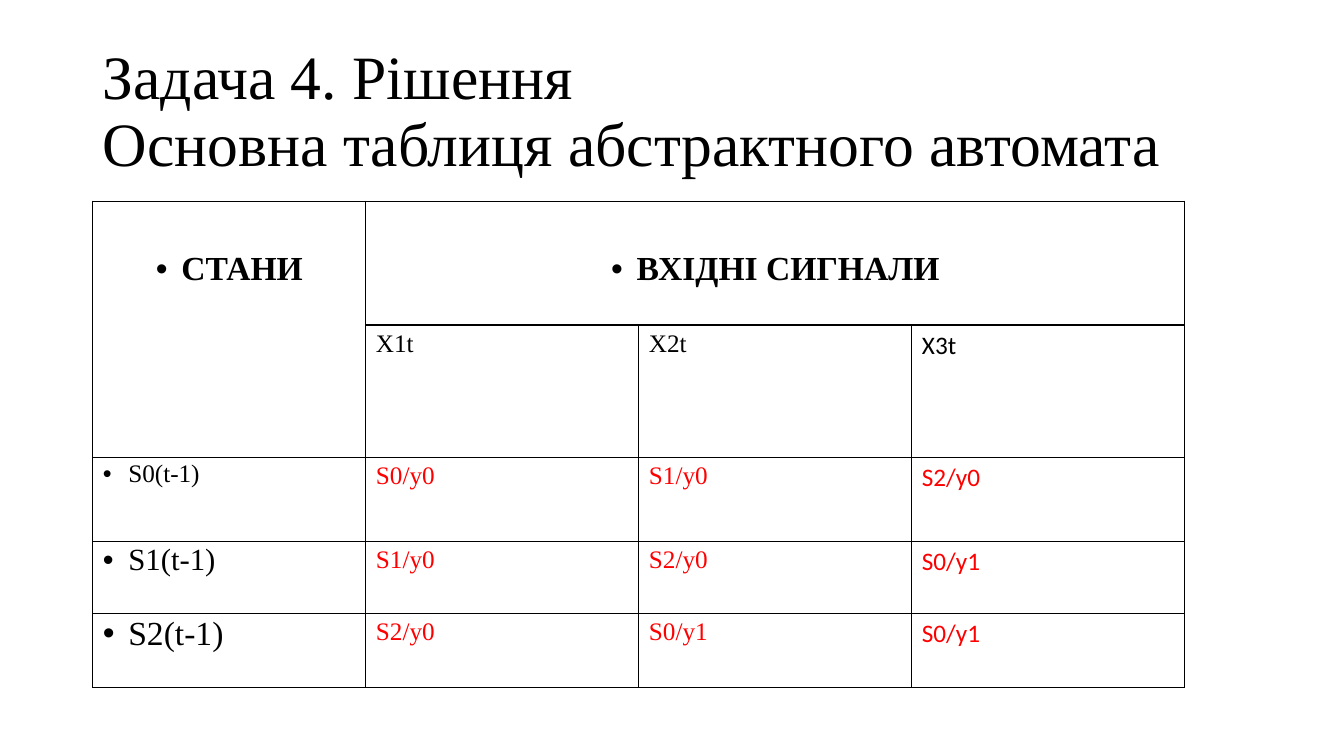
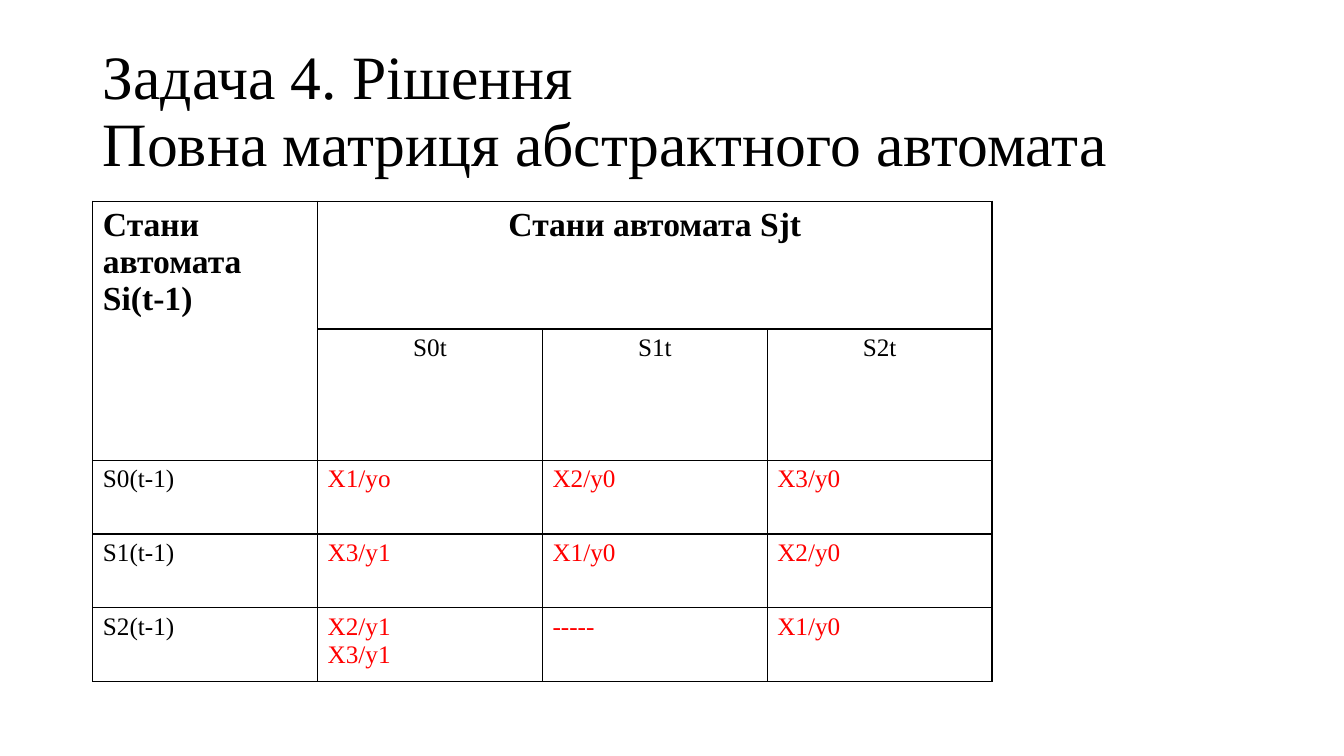
from dataclasses import dataclass, replace

from lxml import etree
from pptx import Presentation
from pptx import util as u
from pptx.dml import color
from pptx.enum import text
from pptx.oxml import ns

HUES = {"ink": "000000", "mark": "FF0000", "back": "FFFFFF"}
SERIF = "Times New Roman"
SANS = "Calibri"
LEFT = 2.34
DROP = 1.33
PAD = 0.13


@dataclass(frozen=True)
class Item:
    lines: tuple[str, ...]
    size: int = 18
    bold: bool = False
    hue: str = "ink"
    font: str = SERIF
    mid: bool = False
    dot: bool = False
    top: float = PAD


@dataclass(frozen=True)
class Sheet:
    title: str
    width: float
    rows: tuple[float, ...]
    cells: dict[tuple[int, int], Item]


def paint(hue: str) -> color.RGBColor:
    return color.RGBColor.from_string(HUES[hue])


def add_run(para, words: str, item: Item) -> None:
    run = para.add_run()
    run.text = words
    run.font.name = item.font
    run.font.size = u.Pt(item.size)
    run.font.bold = item.bold
    run.font.color.rgb = paint(item.hue)


def add_dot(para) -> None:
    para.line_spacing = 0.9
    props = para._p.get_or_add_pPr()
    step = u.Cm(0.64)
    props.set("marL", str(step))
    props.set("indent", str(-step))
    etree.SubElement(props, ns.qn("a:buFont"), typeface="Arial")
    etree.SubElement(props, ns.qn("a:buChar"), char="•")


def add_edge(cell) -> None:
    props = cell._tc.get_or_add_tcPr()
    for side in "LRTB":
        line = etree.SubElement(props, ns.qn(f"a:ln{side}"), w=str(u.Pt(1)))
        fill = etree.SubElement(line, ns.qn("a:solidFill"))
        etree.SubElement(fill, ns.qn("a:srgbClr"), val=HUES["ink"])


def fill_cell(cell, item: Item) -> None:
    cell.margin_top = u.Cm(item.top)
    frame = cell.text_frame
    for spot, words in enumerate(item.lines):
        para = frame.add_paragraph() if spot else frame.paragraphs[0]
        para.alignment = text.PP_ALIGN.CENTER if item.mid else text.PP_ALIGN.LEFT
        if item.dot:
            add_dot(para)
        add_run(para, words, item)


def add_title(slide, words: str) -> None:
    box = slide.shapes.add_textbox(u.Cm(LEFT), u.Cm(1.01), u.Cm(29.21), u.Cm(3.68))
    frame = box.text_frame
    frame.word_wrap = True
    frame.vertical_anchor = text.MSO_ANCHOR.MIDDLE
    para = frame.paragraphs[0]
    para.line_spacing = 0.9
    style = Item((), size=44)
    add_run(para, "Задача 4. Рішення", style)
    para.add_line_break()
    add_run(para, words, style)


def add_grid(slide, sheet: Sheet) -> None:
    frame = slide.shapes.add_table(
        len(sheet.rows), 4, u.Cm(LEFT), u.Cm(5.07),
        u.Cm(sheet.width), u.Cm(sum(sheet.rows)))
    grid = frame.table
    grid.first_row = grid.horz_banding = False
    for col in grid.columns:
        col.width = u.Cm(sheet.width / 4)
    for row, tall in zip(grid.rows, sheet.rows):
        row.height = u.Cm(tall)
    for cell in grid.iter_cells():
        add_edge(cell)
        cell.fill.solid()
        cell.fill.fore_color.rgb = paint("back")
    grid.cell(0, 0).merge(grid.cell(1, 0))
    grid.cell(0, 1).merge(grid.cell(0, 3))
    for (row, col), item in sheet.cells.items():
        fill_cell(grid.cell(row, col), item)


def lay_out(rows: list[list[Item]]) -> dict[tuple[int, int], Item]:
    return {(r, 4 - len(row) + c): item
            for r, row in enumerate(rows, 1) for c, item in enumerate(row)}


def marks(*words: str, last: str = SERIF) -> list[Item]:
    items = [Item(tuple(word.split("\n")), hue="mark") for word in words]
    items[-1] = replace(items[-1], font=last)
    return items


HEAD = Item((), size=24, bold=True)
DOTS = replace(HEAD, mid=True, dot=True, top=DROP)

SHEETS = (
    Sheet(
        "Основна таблиця абстрактного автомата", 27.52,
        (3.12, 3.33, 2.12, 1.81, 1.88),
        {
            (0, 0): replace(DOTS, lines=("СТАНИ",)),
            (0, 1): replace(DOTS, lines=("ВХІДНІ СИГНАЛИ",)),
            **lay_out([
                [Item(("Х1t",)), Item(("Х2t",)), Item(("Х3t",), font=SANS)],
                [Item(("S0(t-1)",), dot=True),
                 *marks("S0/y0", "S1/y0", "S2/y0", last=SANS)],
                [Item(("S1(t-1)",), size=22, dot=True),
                 *marks("S1/y0", "S2/y0", "S0/y1", last=SANS)],
                [Item(("S2(t-1)",), size=24, dot=True),
                 *marks("S2/y0", "S0/y1", "S0/y1", last=SANS)],
            ]),
        },
    ),
    Sheet(
        "Повна матриця абстрактного автомата", 22.66,
        (3.22, 3.06, 1.86, 1.86, 1.86),
        {
            (0, 0): replace(HEAD, lines=("Стани автомата", "Si(t-1)")),
            (0, 1): replace(HEAD, lines=("Стани автомата Sjt",), mid=True),
            **lay_out([
                [Item((f"S{n}t",), mid=True) for n in range(3)],
                [Item(("S0(t-1)",)), *marks("X1/yo", "Х2/у0", "X3/y0")],
                [Item(("S1(t-1)",)), *marks("X3/y1", "X1/y0", "X2/y0")],
                [Item(("S2(t-1)",)), *marks("X2/y1\nX3/y1", "-----", "X1/y0")],
            ]),
        },
    ),
)


def main() -> None:
    deck = Presentation()
    deck.slide_width = u.Cm(33.87)
    deck.slide_height = u.Cm(19.05)
    for sheet in SHEETS:
        slide = deck.slides.add_slide(deck.slide_layouts[6])
        add_title(slide, sheet.title)
        add_grid(slide, sheet)
    deck.save("out.pptx")


if __name__ == "__main__":
    main()
